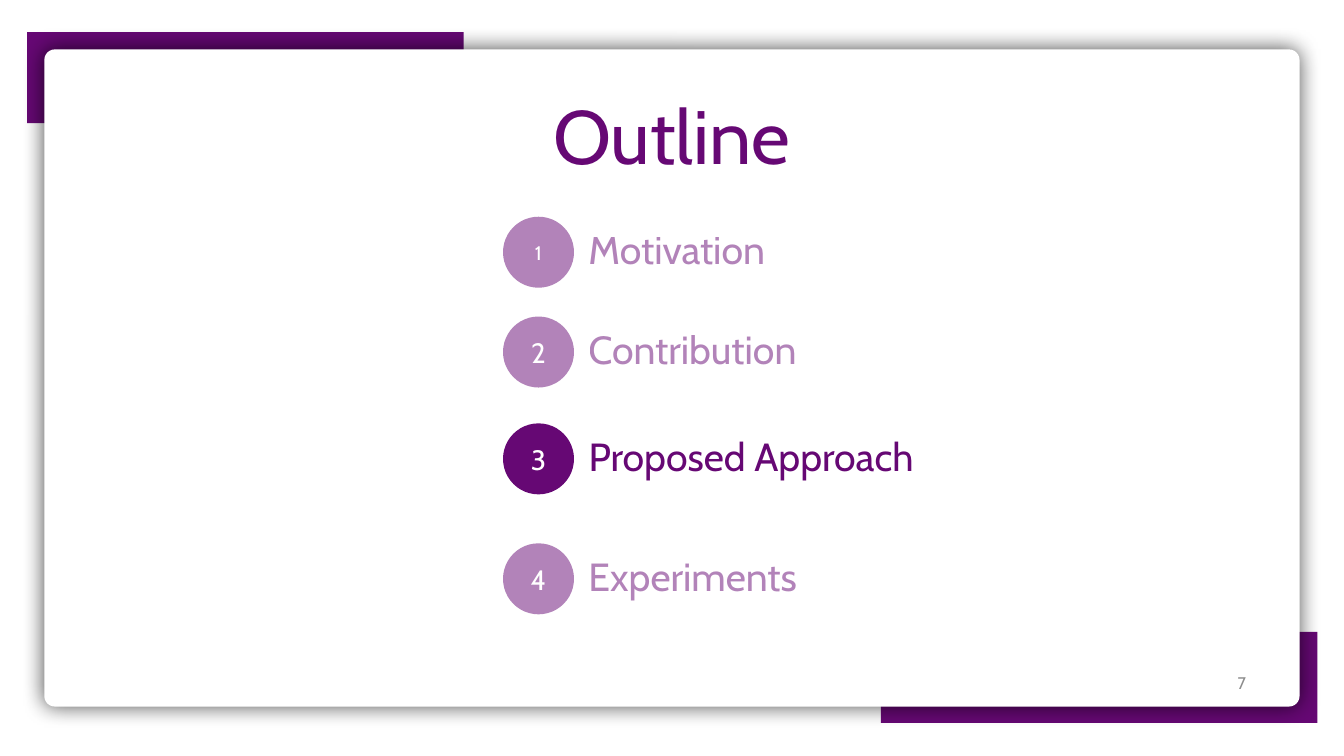
from lxml import etree
from pptx import Presentation
from pptx.dml.color import RGBColor
from pptx.enum.shapes import MSO_SHAPE
from pptx.enum.text import MSO_ANCHOR, MSO_AUTO_SIZE, PP_ALIGN
from pptx.oxml import parse_xml
from pptx.oxml.ns import nsdecls, qn
from pptx.util import Pt

PURPLE = RGBColor(0x66, 0x08, 0x74)
WHITE = RGBColor(0xFF, 0xFF, 0xFF)
GRAY = RGBColor(0x8C, 0x8C, 0x8C)
FONT = "Cabin"
RECT = MSO_SHAPE.RECTANGLE
ROUNDED = MSO_SHAPE.ROUNDED_RECTANGLE
OVAL = MSO_SHAPE.OVAL
TOP = MSO_ANCHOR.TOP
MIDDLE = MSO_ANCHOR.MIDDLE
LEFT = PP_ALIGN.LEFT
CENTER = PP_ALIGN.CENTER
RIGHT = PP_ALIGN.RIGHT
NO_FIT = MSO_AUTO_SIZE.NONE
FIT_SHAPE = MSO_AUTO_SIZE.SHAPE_TO_FIT_TEXT

CIRCLE = 50.7
ITEMS = [
    ("1", "Motivation", 154.8, 371.5, 14),
    ("2", "Contribution", 226.1, 371.5, 20),
    ("3", "Proposed Approach", 302.4, 385.2, 20),
    ("4", "Experiments", 388.1, 362.9, 20),
]
CURRENT = "3"


def add_filled(shapes, kind, x, y, w, h, color):
    sp = shapes.add_shape(kind, Pt(x), Pt(y), Pt(w), Pt(h))
    sp.shadow.inherit = False
    sp.fill.solid()
    sp.fill.fore_color.rgb = color
    sp.line.fill.background()
    return sp


def write(sp, text, size, color, align, anchor, spacing=1.0, fit=NO_FIT):
    tf = sp.text_frame
    tf.text = text
    tf.word_wrap = True
    tf.auto_size = fit
    tf.vertical_anchor = anchor
    p = tf.paragraphs[0]
    p.alignment = align
    p.line_spacing = spacing
    p.space_before = Pt(0)
    r = p.runs[0]
    r.font.name = FONT
    r.font.size = Pt(size)
    r.font.color.rgb = color


prs = Presentation()
prs.slide_width = Pt(960)
prs.slide_height = Pt(540)
s = prs.slides.add_slide(prs.slide_layouts[5])

for x, y in [(629.2, 451.4), (19.4, 23)]:
    add_filled(s.shapes, RECT, x, y, 311.8, 65, PURPLE)

card = add_filled(s.shapes, ROUNDED, 31.7, 35.3, 896.6, 469.4, WHITE)
card.adjustments[0] = 0.016
effects = card.element.spPr.find(qn("a:effectLst"))
effects.append(parse_xml(
    f'<a:outerShdw {nsdecls("a")} blurRad="190500" algn="ctr" rotWithShape="0">'
    '<a:srgbClr val="000000"><a:alpha val="70000"/></a:srgbClr></a:outerShdw>'
))

title = s.shapes.title
title.left, title.top, title.width, title.height = Pt(333.4), Pt(67), Pt(293), Pt(60.5)
write(title, "Outline", 54, PURPLE, CENTER, TOP, 0.9)
s.shapes.element.append(title.element)

number = s.shapes.add_textbox(Pt(681.1), Pt(473), Pt(216), Pt(28.8))
write(number, "7", 12, GRAY, RIGHT, MIDDLE)

for digit, topic, y, w, size in ITEMS:
    group = s.shapes.add_group_shape()
    circle = add_filled(group.shapes, OVAL, 359.3, y, CIRCLE, CIRCLE, PURPLE)
    label = group.shapes.add_textbox(Pt(413.3), Pt(y + 6.5), Pt(w), Pt(37.4))
    write(label, topic, 28, PURPLE, LEFT, TOP, 0.9, FIT_SHAPE)
    if digit != CURRENT:
        for sp in (circle, label):
            for color in sp.element.iter(qn("a:srgbClr")):
                etree.SubElement(color, qn("a:alpha"), val="50000")
    write(circle, digit, size, WHITE, CENTER, MIDDLE)

prs.save("out.pptx")
